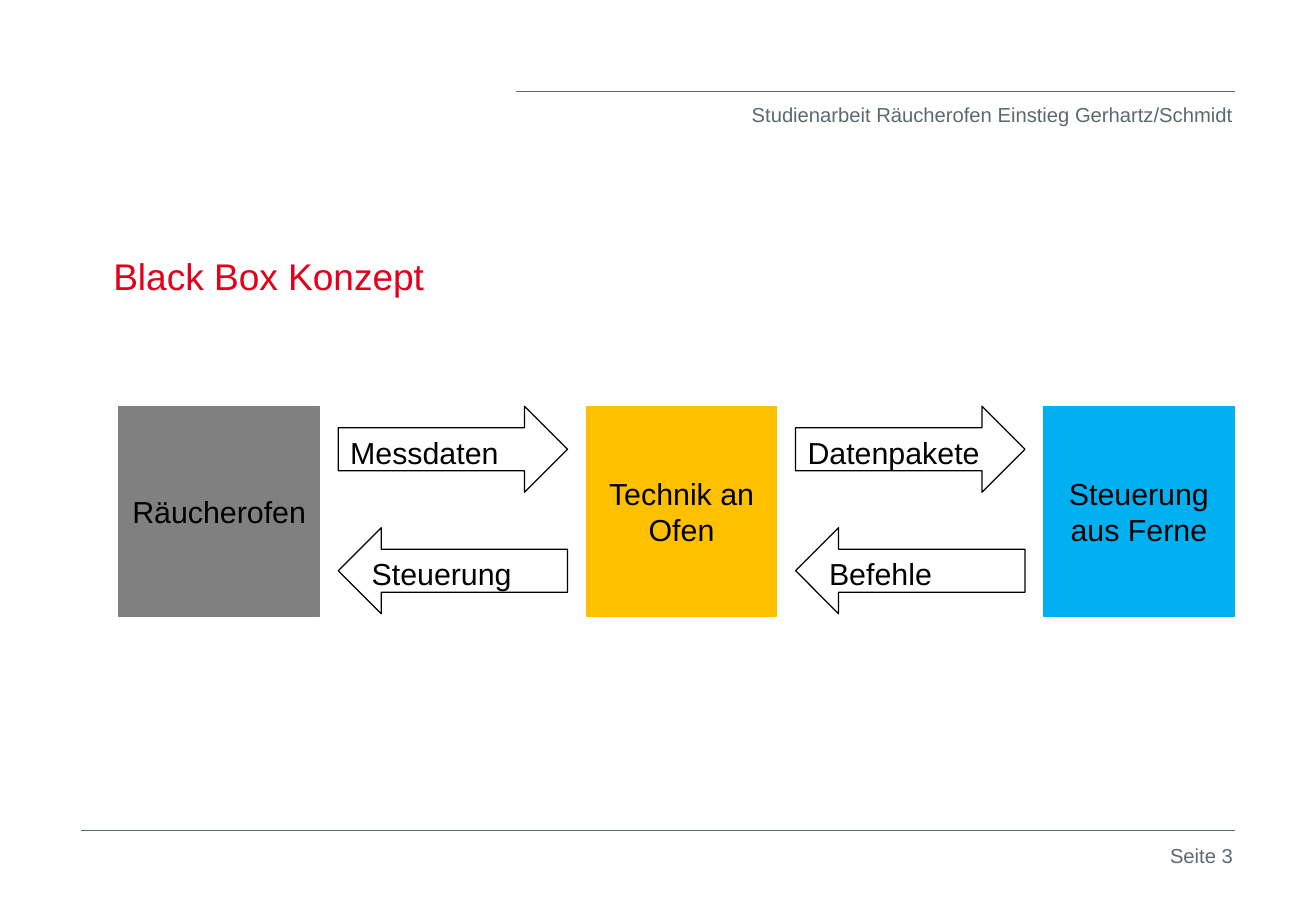
import pptx
import pptx.util
import pptx.dml.color
import pptx.enum.shapes
import pptx.enum.text
from dataclasses import dataclass
from lxml import etree

Pt = pptx.util.Pt
RGB = pptx.dml.color.RGBColor.from_string
Preset = pptx.enum.shapes.MSO_SHAPE
Align = pptx.enum.text.PP_ALIGN
Anchor = pptx.enum.text.MSO_ANCHOR


@dataclass(frozen=True)
class Theme:
    font: str = "Arial"
    red: str = "E2001A"
    slate: str = "5C6971"
    black: str = "000000"
    oven: str = "808080"
    technology: str = "FFC000"
    remote: str = "00B0F0"
    title_size: float = 22
    label_size: float = 18
    small_size: float = 12
    rule_width: float = 0.25
    outline_width: float = 0.75


THEME = Theme()


def write(frame, text, size, color, align, anchor, space_before=0):
    frame.word_wrap = True
    frame.auto_size = pptx.enum.text.MSO_AUTO_SIZE.NONE
    frame.vertical_anchor = anchor
    frame.margin_left = frame.margin_right = Pt(7.2)
    frame.margin_top = frame.margin_bottom = Pt(3.6)
    paragraph = frame.paragraphs[0]
    paragraph.text = text
    paragraph.alignment = align
    paragraph.space_before = Pt(space_before)
    paragraph.font.name = THEME.font
    paragraph.font.size = Pt(size)
    paragraph.font.color.rgb = RGB(color)


def add_rule(slide, left, right, y):
    rule = slide.shapes.add_connector(
        pptx.enum.shapes.MSO_CONNECTOR.STRAIGHT, Pt(left), Pt(y), Pt(right), Pt(y))
    rule.line.color.rgb = RGB(THEME.slate)
    rule.line.width = Pt(THEME.rule_width)
    etree.SubElement(rule.element.spPr, pptx.oxml.ns.qn("a:effectLst"))


def add_margin_band(slide, left, top, width, text, text_width, text_offset):
    right = left + width
    add_rule(slide, left, right, top)
    caption = slide.shapes.add_textbox(
        Pt(right + 6 - text_width), Pt(top + text_offset), Pt(text_width), Pt(36))
    write(caption.text_frame, text, THEME.small_size, THEME.slate,
          Align.RIGHT, Anchor.TOP)


def add_title(slide, left, top, width, height, text):
    title = slide.shapes.title
    title.left, title.top = Pt(left), Pt(top)
    title.width, title.height = Pt(width), Pt(height)
    write(title.text_frame, text, THEME.title_size, THEME.red,
          Align.LEFT, Anchor.BOTTOM)


def add_labelled(slide, preset, box, text, line, fill, align, anchor):
    shape = slide.shapes.add_shape(preset, *map(Pt, box))
    shape.shadow.inherit = False
    if fill:
        shape.fill.solid()
        shape.fill.fore_color.rgb = RGB(fill)
    else:
        shape.fill.background()
    shape.line.color.rgb = RGB(line)
    shape.line.width = Pt(THEME.outline_width)
    write(shape.text_frame, text, THEME.label_size, THEME.black,
          align, anchor, space_before=4.5)


def add_black_box_flow(slide, left, top, width, height):
    stations = [("Räucherofen", 119, THEME.oven),
                ("Technik an Ofen", 113, THEME.technology),
                ("Steuerung aus Ferne", 113, THEME.remote)]
    exchanges = [("Messdaten", "Steuerung"), ("Datenpakete", "Befehle")]
    arrow_width, arrow_height, arrow_pitch = 136, 51, 72
    gap = (width - sum(station[1] for station in stations)) / len(exchanges)

    x = left
    for index, (name, station_width, color) in enumerate(stations):
        add_labelled(slide, Preset.RECTANGLE, (x, top, station_width, height),
                     name, color, color, Align.CENTER, Anchor.MIDDLE)
        x += station_width
        if index < len(exchanges):
            arrow_left = x + (gap - arrow_width) / 2
            directions = (Preset.RIGHT_ARROW, Preset.LEFT_ARROW)
            for row, (preset, signal) in enumerate(zip(directions, exchanges[index])):
                box = (arrow_left, top + row * arrow_pitch, arrow_width, arrow_height)
                add_labelled(slide, preset, box, signal, THEME.black, None,
                             Align.LEFT, Anchor.TOP)
            x += gap


def main():
    presentation = pptx.Presentation()
    presentation.slide_width = Pt(780.48)
    presentation.slide_height = Pt(540)
    slide_size = presentation.element.find(pptx.oxml.ns.qn("p:sldSz"))
    slide_size.attrib.pop("type", None)
    slide = presentation.slides.add_slide(presentation.slide_layouts[5])
    add_margin_band(slide, 306, 54.2, 426.4,
                    "Studienarbeit Räucherofen Einstieg Gerhartz/Schmidt", 320, 2.8)
    add_title(slide, 60, 114.3, 672, 66, "Black Box Konzept")
    add_black_box_flow(slide, 70.5, 240.8, 661.5, 124.5)
    add_margin_band(slide, 48, 492.2, 684.4, "Seite 3", 72, 4.2)
    presentation.save("out.pptx")


if __name__ == "__main__":
    main()
